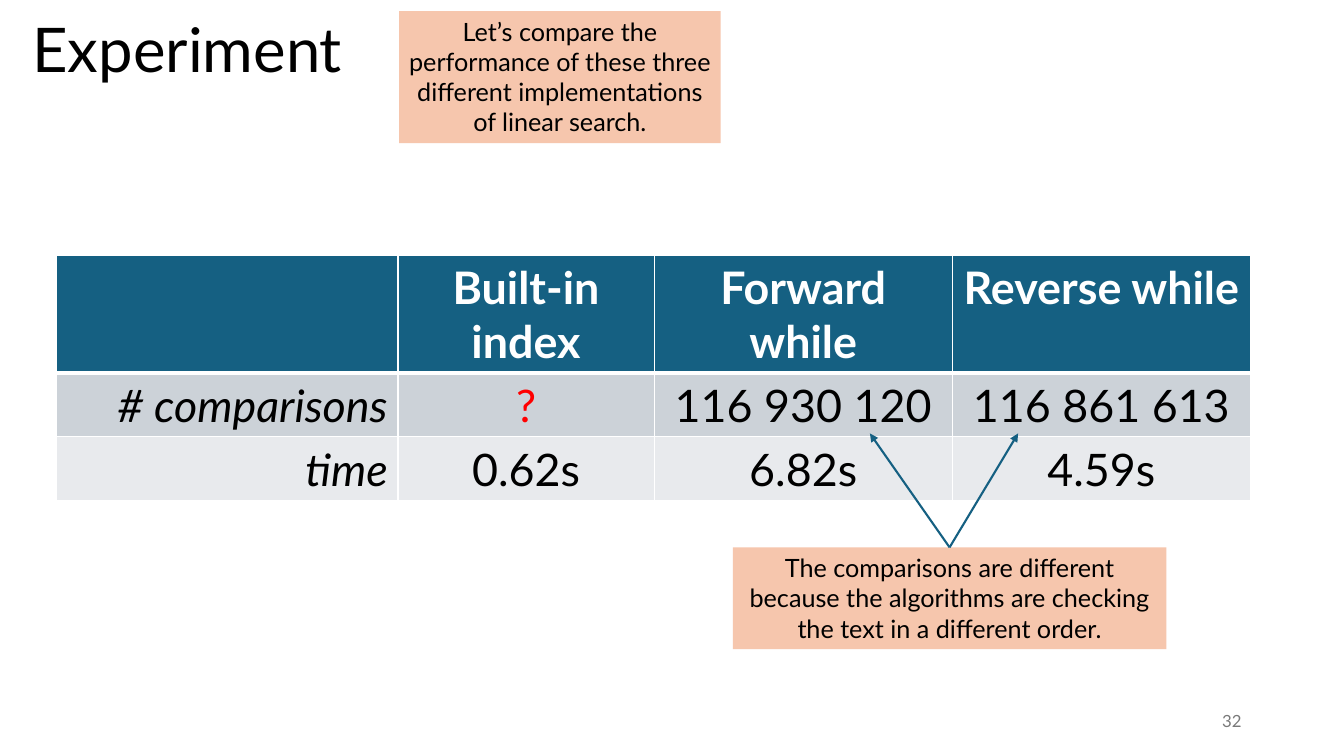
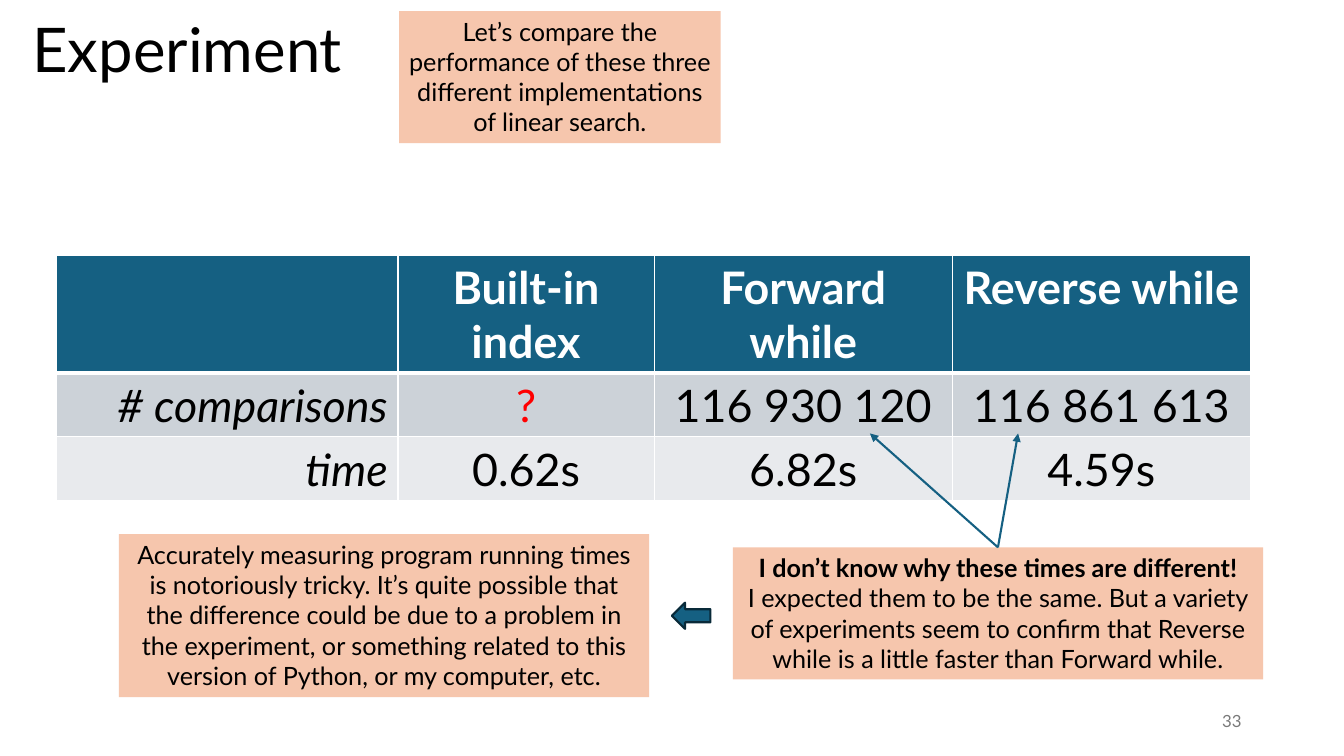
from lxml import etree
from pptx import Presentation
from pptx.dml import color as col
from pptx.enum import shapes, text
from pptx.oxml import ns
from pptx.util import Pt

HEX = {"ink": "000000", "white": "FFFFFF", "blue": "156082", "navy": "092A39",
       "peach": "F6C6AD", "red": "FF0000", "gray": "797979",
       "band": "CCD2D8", "pale": "E8EAED"}
LEFT, MID, RIGHT = text.PP_ALIGN.LEFT, text.PP_ALIGN.CENTER, text.PP_ALIGN.RIGHT


class Deck:
    font = "Lato"

    def __init__(self):
        self.prs = Presentation()
        self.prs.slide_width, self.prs.slide_height = Pt(960), Pt(540)
        self.page = None

    def rgb(self, name):
        return col.RGBColor.from_string(HEX[name])

    def paint(self, item, name):
        item.fill.solid()
        item.fill.fore_color.rgb = self.rgb(name)

    def run(self, para, words, size, ink="ink", bold=False, slant=False):
        run = para.add_run()
        run.text = words
        face = run.font
        face.name, face.size = self.font, Pt(size)
        face.bold, face.italic = bold, slant
        face.color.rgb = self.rgb(ink)

    def slide(self, title, number):
        self.page = self.prs.slides.add_slide(self.prs.slide_layouts[5])
        # Title
        head = self.page.shapes.title
        head.left, head.top, head.width, head.height = map(Pt, (16, -14.4, 260, 104.4))
        frame = head.text_frame
        frame.auto_size = text.MSO_AUTO_SIZE.NONE
        frame.vertical_anchor = text.MSO_ANCHOR.MIDDLE
        para = frame.paragraphs[0]
        para.alignment, para.line_spacing = LEFT, 0.9
        self.run(para, title, 44)
        # Page number
        foot = self.page.shapes.add_textbox(*map(Pt, (678, 500.5, 216, 28.75)))
        foot.text_frame.word_wrap = True
        foot.text_frame.vertical_anchor = text.MSO_ANCHOR.MIDDLE
        para = foot.text_frame.paragraphs[0]
        para.alignment = RIGHT
        self.run(para, number, 12, "gray")

    def shape(self, kind, box, fill):
        item = self.page.shapes.add_shape(kind, *map(Pt, box))
        item.shadow.inherit = False
        self.paint(item, fill)
        return item

    def note(self, box, words, lead=None):
        item = self.shape(shapes.MSO_SHAPE.RECTANGLE, box, "peach")
        item.line.fill.background()
        frame = item.text_frame
        frame.word_wrap = True
        frame.auto_size = text.MSO_AUTO_SIZE.SHAPE_TO_FIT_TEXT
        frame.vertical_anchor = text.MSO_ANCHOR.TOP
        para = frame.paragraphs[0]
        para.alignment = MID
        if lead:
            self.run(para, lead, 18, bold=True)
            para.add_line_break()
        self.run(para, words, 18)
        return item

    def arrow(self, box):
        item = self.shape(shapes.MSO_SHAPE.LEFT_ARROW, box, "blue")
        item.line.color.rgb = self.rgb("navy")
        item.line.width = Pt(1.5)

    def link(self, note, x, y):
        line = self.page.shapes.add_connector(
            shapes.MSO_CONNECTOR.STRAIGHT, note.left, note.top, Pt(x), Pt(y))
        line.begin_connect(note, 0)
        line.line.color.rgb = self.rgb("blue")
        line.line.width = Pt(1.5)
        props = line._element.spPr
        tip = etree.SubElement(props.find(ns.qn("a:ln")), ns.qn("a:tailEnd"))
        tip.set("type", "triangle")
        etree.SubElement(props, ns.qn("a:effectLst"))

    def edges(self, cell, top, base):
        props = cell._tc.get_or_add_tcPr()
        sides = (("L", 1), ("R", 1), ("T", top), ("B", base))
        for spot, (side, width) in enumerate(sides):
            line = etree.Element(ns.qn("a:ln" + side), w=str(Pt(width)))
            fill = etree.SubElement(line, ns.qn("a:solidFill"))
            etree.SubElement(fill, ns.qn("a:srgbClr"), val=HEX["white"])
            props.insert(spot, line)

    def table(self, x, y, cols, rows, data):
        grid = self.page.shapes.add_table(
            len(rows), len(cols), Pt(x), Pt(y), Pt(sum(cols)), Pt(sum(rows))).table
        for part, width in zip(grid.columns, cols):
            part.width = Pt(width)
        for part, height in zip(grid.rows, rows):
            part.height = Pt(height)
        for r, line in enumerate(data):
            for c, words in enumerate(line):
                cell = grid.cell(r, c)
                self.paint(cell, ("blue", "band", "pale")[r])
                self.edges(cell, 3 if r == 1 else 1, 3 if r == 0 else 1)
                para = cell.text_frame.paragraphs[0]
                para.alignment = RIGHT if r and c == 0 else MID
                ink = "white" if r == 0 else "red" if words == "?" else "ink"
                if words:
                    self.run(para, words, 32, ink, r == 0, c == 0)


DATA = (("", "Built-in index", "Forward while", "Reverse while"),
        ("# comparisons", "?", "116 930 120", "116 861 613"),
        ("time", "0.62s", "6.82s", "4.59s"))


def base(deck, number):
    """Title, intro note and results, common to both slides."""
    deck.slide("Experiment", number)
    deck.note((285.1, 7.9, 229.7, 94.3),
              "Let’s compare the performance of these three different "
              "implementations of linear search.")
    deck.table(40.3, 182.2, (244, 183, 213, 213), (84, 45.6, 45.6), DATA)


def remark(deck, width, height, words, lead=None):
    """Note below the table, with arrows to both counts."""
    note = deck.note((523.5, 391, width, height), words, lead)
    for x in (621.4, 727.2):
        deck.link(note, x, 309.6)


def main():
    deck = Deck()

    # Why the counts differ
    base(deck, "32")
    remark(deck, 309.6, 72.7,
           "The comparisons are different because the algorithms are checking "
           "the text in a different order.")

    # Why the times differ
    base(deck, "33")
    remark(deck, 378.7, 94.3,
           "I expected them to be the same. But a variety of experiments seem to "
           "confirm that Reverse while is a little faster than Forward while.",
           "I don’t know why these times are different!")
    deck.note((85, 381.6, 378.7, 116.3),
              "Accurately measuring program running times is notoriously tricky. "
              "It’s quite possible that the difference could be due to a problem in "
              "the experiment, or something related to this version of Python, "
              "or my computer, etc.")
    deck.arrow((480, 430.5, 27.5, 18.7))

    deck.prs.save("out.pptx")


if __name__ == "__main__":
    main()
